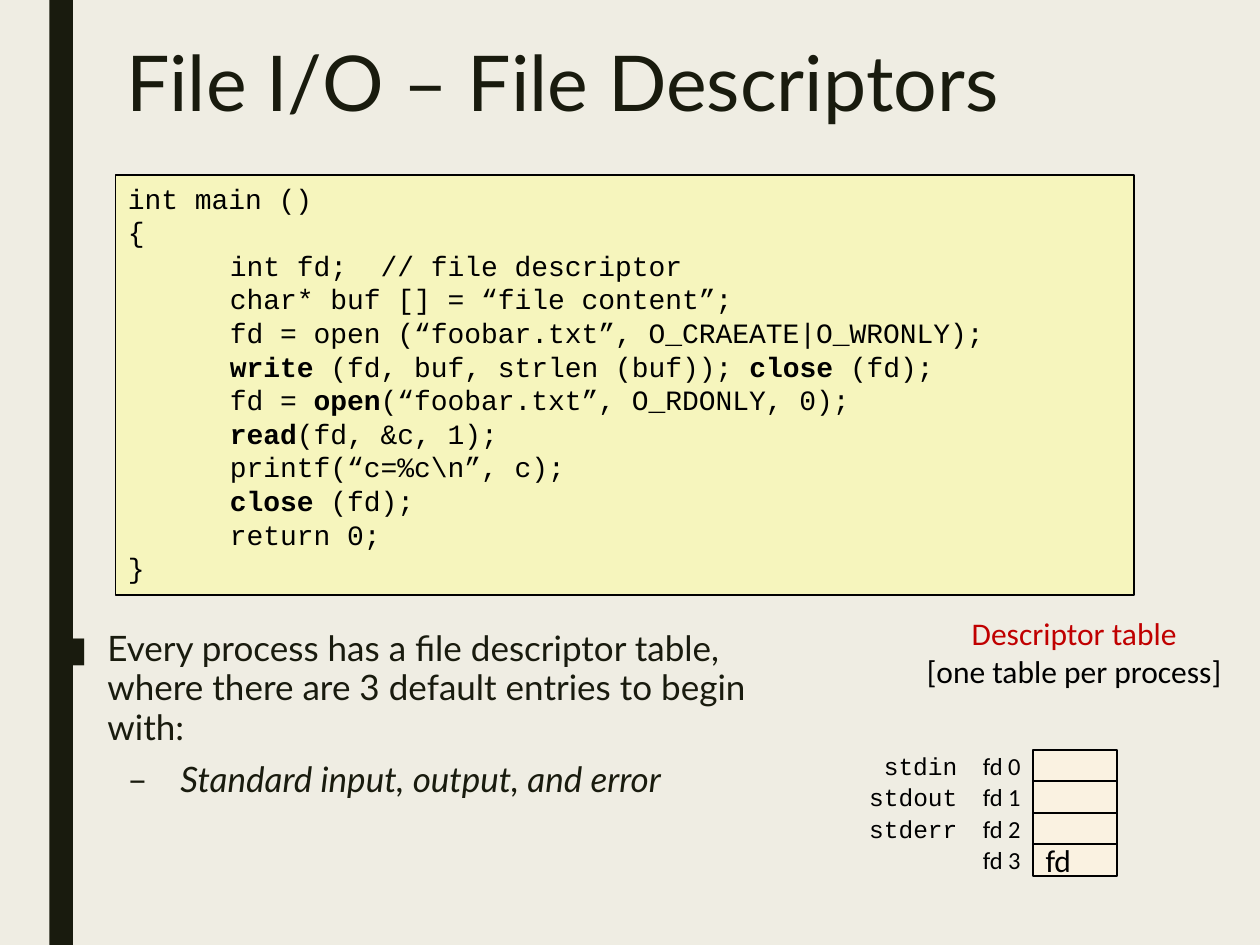
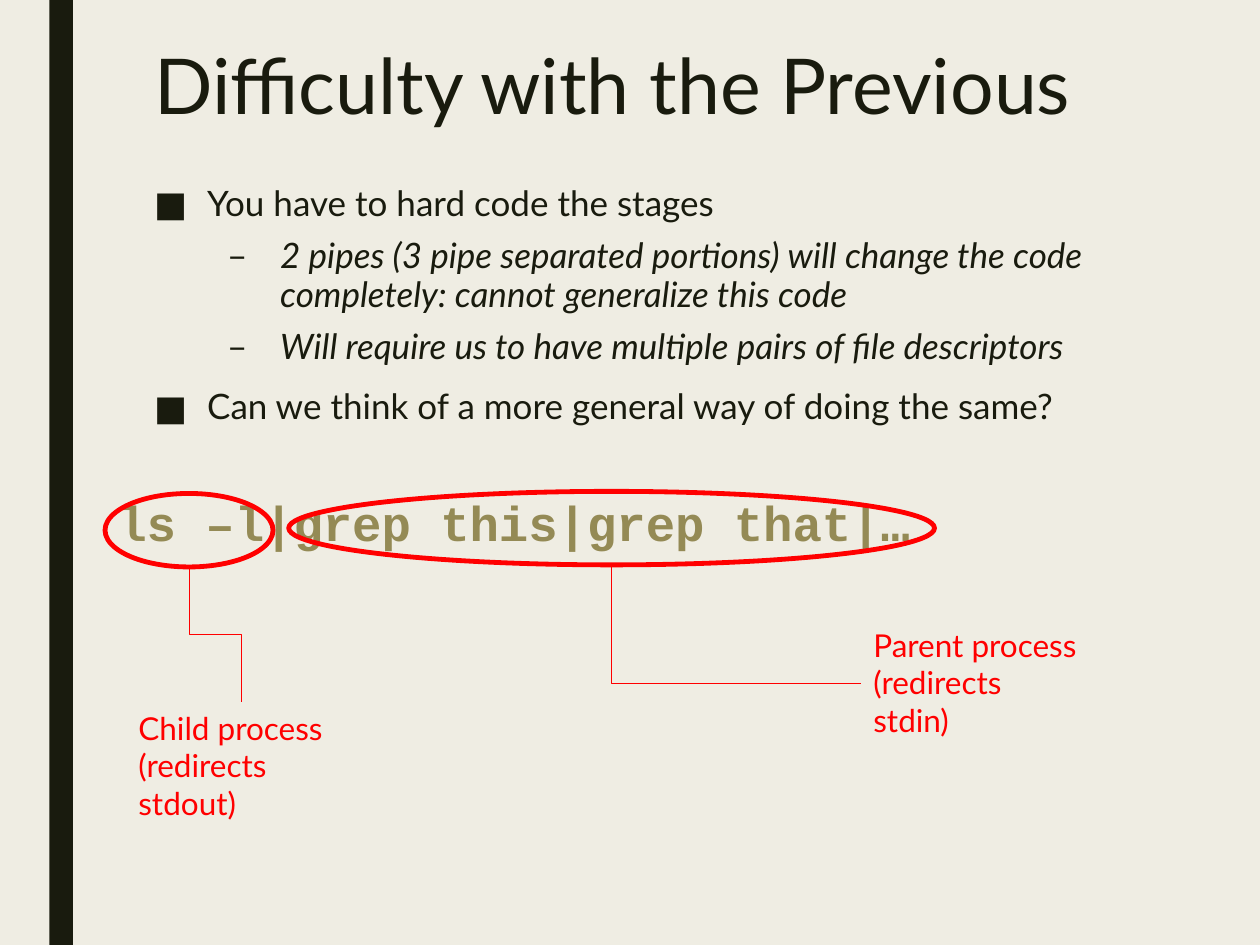
from collections import namedtuple
from lxml.etree import SubElement
from pptx import Presentation
from pptx.dml.color import RGBColor
from pptx.enum.shapes import MSO_CONNECTOR as LINE, MSO_SHAPE as SHAPE
from pptx.enum.text import MSO_ANCHOR as ANCHOR, MSO_AUTO_SIZE as FIT, PP_ALIGN as ALIGN
from pptx.oxml.ns import qn
from pptx.util import Emu, Inches, Pt

COLORS = {"paper": "EFEDE3", "ink": "191B0E", "code": "F6F5BD", "cell": "FAF2E1",
          "black": "000000", "dark_red": "C00000", "red": "FF0000", "olive": "948A55"}
SANS, LABEL, MONO = "Lato", "Calibri", "Courier New"
COLS, ROWS = 120, 90
UNIT = Inches(10) / COLS
Box = namedtuple("Box", "x y w h")

TITLE = dict(size=44, font=SANS, color="ink", spacing=0.89, align=ALIGN.LEFT)
BODY = dict(size=20, font=SANS, color="ink", spacing=0.94, after=2, hang=-0.42)
POINT = dict(BODY, before=10, left=0.42, bullet="■")
SUBPOINT = dict(BODY, before=5, left=1, bullet="–", level=1, italic=True)
CODE = dict(size=16, font=MONO, color="black", align=ALIGN.LEFT)
CODE_INNER = dict(CODE, left=0.81, hang=-0.31, level=1)


def rgb(name):
    return RGBColor.from_string(COLORS[name])


def emu(box):
    return [Emu(round(v * UNIT)) for v in box]


def write(tf, text, size=18, font=SANS, color="ink", bold=False, italic=False, align=None,
          spacing=None, before=None, after=None, left=None, hang=0, bullet=None, level=0):
    p = tf.paragraphs[0] if not tf.paragraphs[0].runs else tf.add_paragraph()
    p.level = level
    p.alignment = align
    p.line_spacing = spacing
    if before is not None:
        p.space_before, p.space_after = Pt(before), Pt(after)
    pPr = p._p.get_or_add_pPr()
    if left is not None:
        pPr.set("marL", str(Inches(left)))
        pPr.set("indent", str(Inches(hang)))
    if bullet:
        SubElement(pPr, qn("a:buFont")).set("typeface", font)
        SubElement(pPr, qn("a:buChar")).set("char", bullet)
    for i, part in enumerate(text.split("**")):
        if part:
            r = p.add_run()
            r.text = part
            r.font.size, r.font.name = Pt(size), font
            r.font.bold, r.font.italic = bold or i % 2 == 1, italic
            r.font.color.rgb = rgb(color)


def text_box(shapes, box, lines, wrap=True, anchor=ANCHOR.TOP, fit=FIT.NONE):
    tf = shapes.add_textbox(*emu(box)).text_frame
    tf.word_wrap, tf.vertical_anchor, tf.auto_size = wrap, anchor, fit
    for text, fmt in lines:
        write(tf, text, **fmt)


def shape(shapes, kind, box, fill=None, line=None, width=1):
    sp = shapes.add_shape(kind, *emu(box))
    sp.shadow.inherit = False
    if fill:
        sp.fill.solid()
        sp.fill.fore_color.rgb = rgb(fill)
    else:
        sp.fill.background()
    if line:
        sp.line.color.rgb, sp.line.width = rgb(line), Pt(width)
    else:
        sp.line.fill.background()
    return sp


def elbow_down(shapes, start, end, preset):
    (x1, y1), (x2, y2) = start, end
    w, h = y2 - y1, x2 - x1
    frame = Box((x1 + x2 - w) / 2, (y1 + y2 - h) / 2, w, h)
    c = shapes.add_connector(LINE.ELBOW, 0, 0, 0, 0)
    c.left, c.top, c.width, c.height = emu(frame)
    spPr = c._element.spPr
    xfrm = spPr.find(qn("a:xfrm"))
    xfrm.set("rot", str(270 * 60000))
    xfrm.set("flipH", "1")
    spPr.find(qn("a:prstGeom")).set("prst", preset)
    c.line.color.rgb, c.line.width = rgb("red"), Pt(0.5)
    SubElement(spPr, qn("a:effectLst"))


def new_slide(prs, title, box):
    s = prs.slides.add_slide(prs.slide_layouts[5])
    s.background.fill.solid()
    s.background.fill.fore_color.rgb = rgb("paper")
    shape(s.shapes, SHAPE.RECTANGLE, Box(4.7, 0, 2.25, ROWS), "ink")
    sp = s.shapes.title
    sp.left, sp.top, sp.width, sp.height = emu(box)
    tf = sp.text_frame
    tf.word_wrap, tf.vertical_anchor, tf.auto_size = True, ANCHOR.TOP, FIT.NONE
    write(tf, title, **TITLE)
    return s


def code_panel(s, box, lines):
    sp = shape(s.shapes, SHAPE.RECTANGLE, box, "code", "black")
    tf = sp.text_frame
    tf.word_wrap, tf.vertical_anchor = True, ANCHOR.TOP
    for line in lines:
        write(tf, line, **(CODE_INNER if line.startswith("\t") else CODE))


def descriptor_table(s, box, streams, entries):
    row, cell, right = box.h / len(entries), 8, box.x + box.w
    label = dict(size=14, font=LABEL, color="black", align=ALIGN.RIGHT)
    stream = dict(size=14, font=MONO, color="black")
    for i, entry in enumerate(entries):
        y = box.y + i * row
        sp = shape(s.shapes, SHAPE.RECTANGLE, Box(right - cell, y, cell, row), "cell", "black")
        if entry:
            tf = sp.text_frame
            tf.word_wrap, tf.vertical_anchor = False, ANCHOR.MIDDLE
            write(tf, entry, font=LABEL, color="black", align=ALIGN.LEFT)
        text_box(s.shapes, Box(right - 2 * cell, y, cell, row), [(f"fd {i}", label)],
                 wrap=False, anchor=ANCHOR.MIDDLE)
    for i, name in enumerate(streams):
        w = 2.4 + 1.4 * len(name)
        text_box(s.shapes, Box(right - 14 - w, box.y + (i + 0.5) * row - 2, w, 4),
                 [(name, stream)], wrap=False, anchor=ANCHOR.MIDDLE, fit=FIT.SHAPE_TO_FIT_TEXT)


def callout(s, oval, note, text, to_side):
    shapes = s.shapes.add_group_shape().shapes
    shape(shapes, SHAPE.OVAL, oval, line="red", width=2.75)
    start = (oval.x + oval.w / 2, oval.y + oval.h)
    if to_side:
        elbow_down(shapes, start, (note.x, note.y + note.h / 2), "bentConnector2")
    else:
        elbow_down(shapes, start, (note.x + note.w / 2, note.y), "bentConnector3")
    text_box(shapes, note, [(text, dict(color="red"))], fit=FIT.SHAPE_TO_FIT_TEXT)


def file_descriptors(prs):
    s = new_slide(prs, "File I/O – File Descriptors", Box(10.8, 3.75, 99, 11.4))
    text_box(s.shapes, Box(4, 59.4, 75, 31), [
        ("Every process has a file descriptor table, where there are 3 default entries "
         "to begin with:", POINT),
        ("Standard input, output, and error", SUBPOINT)])
    code_panel(s, Box(11, 16.67, 97, 40), [
        "int main ()",
        "{",
        "\tint fd;  // file descriptor",
        "\tchar* buf [] = “file content”;",
        "\tfd = open (“foobar.txt”, O_CRAEATE|O_WRONLY);",
        "\t**write** (fd, buf, strlen (buf)); **close **(fd);",
        "\tfd = **open**(“foobar.txt”, O_RDONLY, 0);",
        "\t**read**(fd, &c, 1);",
        "\tprintf(“c=%c\\n”, c);",
        "\t**close** (fd);",
        "\treturn 0;",
        "}"])
    descriptor_table(s, Box(81.6, 71.4, 24.8, 12), ["stdin", "stdout", "stderr"],
                     ["", "", "", "fd"])
    caption = dict(font=LABEL, align=ALIGN.CENTER)
    text_box(s.shapes, Box(86.65, 57.8, 31.3, 8.5), [
        ("Descriptor table", dict(caption, color="dark_red")),
        ("[one table per process]", dict(caption, color="black"))],
        wrap=False, anchor=ANCHOR.MIDDLE, fit=FIT.SHAPE_TO_FIT_TEXT)


def pipe_difficulty(prs):
    s = new_slide(prs, "Difficulty with the Previous", Box(13.5, 4, 94.5, 12))
    text_box(s.shapes, Box(13.5, 17, 94.5, 69), [
        ("You have to hard code the stages", POINT),
        ("2 pipes (3 pipe separated portions) will change the code completely: "
         "cannot generalize this code", SUBPOINT),
        ("Will require us to have multiple pairs of file descriptors", SUBPOINT),
        ("Can we think of a more general way of doing the same?", POINT)])
    text_box(s.shapes, Box(10, 47, 94.5, 7), [
        ("ls –l|grep this|grep that|…",
         dict(size=28, font=MONO, color="olive", bold=True, spacing=0.89))])
    callout(s, Box(10, 47, 16, 7), Box(12, 66.9, 22, 12.1),
            "Child process (redirects stdout)", to_side=False)
    callout(s, Box(27.5, 46.8, 61.5, 7), Box(82, 59, 22, 12.1),
            "Parent process (redirects stdin)", to_side=True)


prs = Presentation()
prs.slide_width, prs.slide_height = Emu(round(COLS * UNIT)), Emu(round(ROWS * UNIT))
file_descriptors(prs)
pipe_difficulty(prs)
prs.save("out.pptx")
